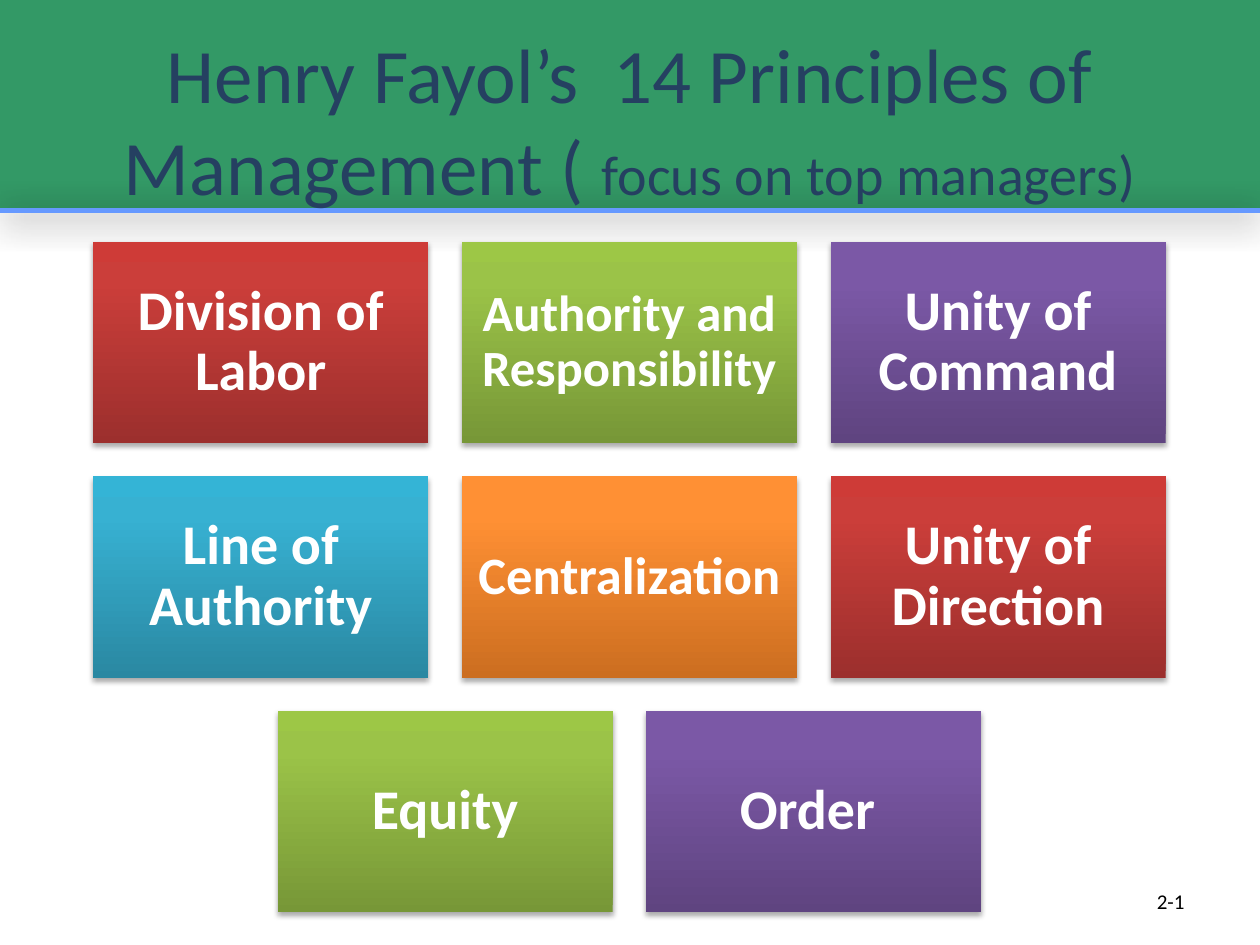
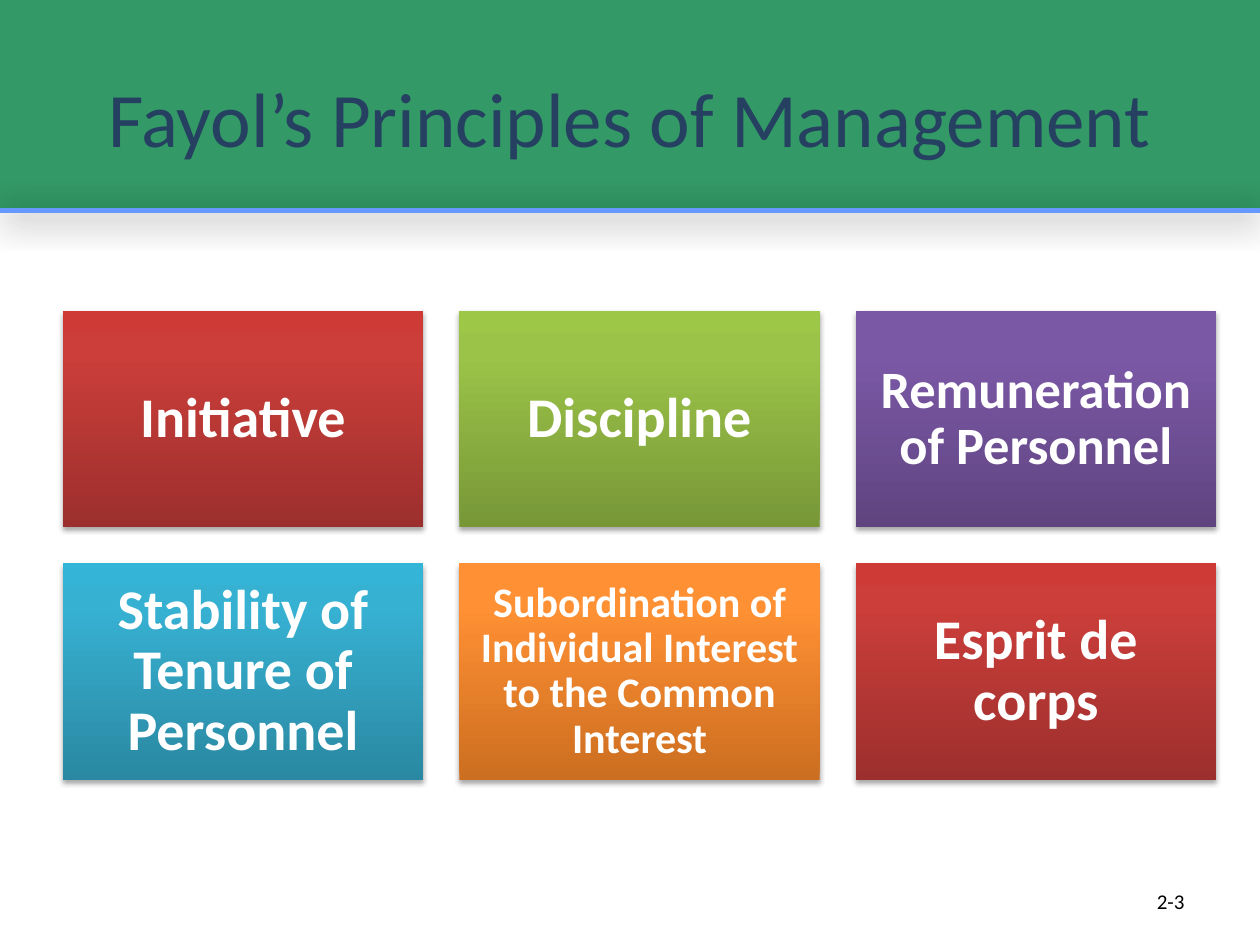
from lxml import etree
from pptx import Presentation
from pptx.dml.color import RGBColor
from pptx.enum.shapes import MSO_CONNECTOR, MSO_SHAPE
from pptx.enum.text import MSO_ANCHOR, MSO_AUTO_SIZE, PP_ALIGN
from pptx.oxml import parse_xml
from pptx.oxml.ns import nsdecls
from pptx.util import Inches, Pt

RECTANGLE = MSO_SHAPE.RECTANGLE
STRAIGHT = MSO_CONNECTOR.STRAIGHT
MIDDLE = MSO_ANCHOR.MIDDLE
NO_AUTOFIT = MSO_AUTO_SIZE.NONE
CENTER, RIGHT = PP_ALIGN.CENTER, PP_ALIGN.RIGHT

FONT = "Calibri"
TITLE_ONLY = 5
BAND_HEIGHT = 1.67
COLUMNS = 3
COLORS = {
    "band": "339966",
    "rule": "6699FF",
    "title": "254061",
    "number": "000000",
    "card_text": "FFFFFF",
    "shadow": "000000",
}
CARD_GRADIENTS = [
    ("9C2F2D", "CB3E3A", "CE3B37"),
    ("779737", "9BC348", "9DC746"),
    ("5F4480", "7B58A6", "7C57A8"),
    ("2A88A2", "37B1D2", "34B4D6"),
    ("CC6E20", "FF9034", "FF9136"),
]
GRADIENT_STOPS = (0, 80, 100)

FAYOL_PRINCIPLES = [
    ("Division of Labor", 32),
    ("Authority and Responsibility", 29),
    ("Unity of Command", 32),
    ("Line of Authority", 32),
    ("Centralization", 30),
    ("Unity of Direction", 32),
    ("Equity", 32),
    ("Order ", 32),
]
MORE_PRINCIPLES = [
    ("Initiative", 32),
    ("Discipline", 32),
    ("Remuneration of Personnel", 30),
    ("Stability of Tenure of Personnel", 32),
    ("Subordination of Individual Interest to the Common Interest", 24),
    ("Esprit de corps", 32),
]


def rgb(name):
    """Return the named palette colour."""
    return RGBColor.from_string(COLORS[name])


def format_run(run, size, color, bold=False):
    """Set the font of one run."""
    run.font.name = FONT
    run.font.size = Pt(size)
    run.font.bold = bold
    run.font.color.rgb = rgb(color)


def set_shadow(shape, opacity, blur, distance):
    """Give a shape or line a downward shadow, measured in points."""
    properties = shape._element.spPr
    properties.append(parse_xml(
        f'<a:effectLst {nsdecls("a")}>'
        f'<a:outerShdw blurRad="{Pt(blur)}" dist="{Pt(distance)}" dir="5400000" rotWithShape="0">'
        f'<a:srgbClr val="{COLORS["shadow"]}"><a:alpha val="{opacity * 1000}"/></a:srgbClr>'
        '</a:outerShdw></a:effectLst>'))


def set_gradient(shape, colors):
    """Fill a shape with a gradient that rises from bottom to top."""
    shape.fill.gradient()
    gradient = shape._element.spPr.find("a:gradFill", {"a": nsdecls("a").split('"')[1]})
    stops = "".join(
        f'<a:gs pos="{stop * 1000}"><a:srgbClr val="{color}"/></a:gs>'
        for stop, color in zip(GRADIENT_STOPS, colors))
    replacement = parse_xml(
        f'<a:gradFill {nsdecls("a")} rotWithShape="1"><a:gsLst>{stops}</a:gsLst>'
        '<a:lin ang="16200000" scaled="0"/></a:gradFill>')
    gradient.getparent().replace(gradient, replacement)


def add_band(slide, slide_width):
    """Put the green band and its blue rule behind the title."""
    band = slide.shapes.add_shape(RECTANGLE, 0, 0, slide_width, Inches(BAND_HEIGHT))
    band.shadow.inherit = False
    band.fill.solid()
    band.fill.fore_color.rgb = rgb("band")
    band.line.fill.background()
    rule = slide.shapes.add_connector(
        STRAIGHT, 0, Inches(BAND_HEIGHT), slide_width, Inches(BAND_HEIGHT))
    rule.line.color.rgb = rgb("rule")
    rule.line.width = Pt(2.5)
    set_shadow(rule, 84, 19, 3)
    for part in (band, rule):
        slide.shapes.title._element.addprevious(part._element)


def set_title(slide, parts, height):
    """Fill the title placeholder with (text, size) parts."""
    title = slide.shapes.title
    title.left, title.top = Inches(0.5), Inches(0.3)
    title.width, title.height = Inches(9), Inches(height)
    frame = title.text_frame
    frame.auto_size = NO_AUTOFIT
    frame.vertical_anchor = MIDDLE
    paragraph = frame.paragraphs[0]
    paragraph.alignment = CENTER
    for text, size in parts:
        run = paragraph.add_run()
        run.text = text
        format_run(run, size, "title")


def add_page_number(slide, number):
    """Write the page number at the lower right."""
    box = slide.shapes.add_textbox(Inches(7.17), Inches(6.95), Inches(2.33), Inches(0.4))
    frame = box.text_frame
    frame.word_wrap = True
    frame.vertical_anchor = MIDDLE
    frame.text = number
    frame.paragraphs[0].alignment = RIGHT
    format_run(frame.paragraphs[0].runs[0], 12, "number")


def add_card(slide, left, top, width, height, principle, size, colors):
    """Add one principle as a gradient card."""
    card = slide.shapes.add_shape(
        RECTANGLE, Inches(left), Inches(top), Inches(width), Inches(height))
    set_gradient(card, colors)
    card.line.fill.background()
    set_shadow(card, 35, 3.1, 1.8)
    frame = card.text_frame
    frame.word_wrap = True
    frame.vertical_anchor = MIDDLE
    inset = Inches(size * 0.004)
    frame.margin_left = frame.margin_right = inset
    frame.margin_top = frame.margin_bottom = inset
    frame.text = principle
    paragraph = frame.paragraphs[0]
    paragraph.alignment = CENTER
    paragraph.line_spacing = 0.9
    format_run(paragraph.runs[0], size, "card_text", bold=True)


def add_card_grid(slide, principles, left, top, width):
    """Lay principles out in rows of three, with a short last row centred."""
    height, gap = width * 0.6, width * 0.1
    for index, (principle, size) in enumerate(principles):
        row, column = divmod(index, COLUMNS)
        cards_in_row = min(COLUMNS, len(principles) - row * COLUMNS)
        column += (COLUMNS - cards_in_row) / 2
        add_card(slide, left + column * (width + gap), top + row * (height + gap),
                 width, height, principle, size,
                 CARD_GRADIENTS[index % len(CARD_GRADIENTS)])


def add_principles_slide(deck, title_parts, title_height, number, principles, left, top, width):
    """Add a slide with band, title, page number and card grid."""
    slide = deck.slides.add_slide(deck.slide_layouts[TITLE_ONLY])
    add_band(slide, deck.slide_width)
    set_title(slide, title_parts, title_height)
    add_page_number(slide, number)
    add_card_grid(slide, principles, left, top, width)


def main():
    """Build and save the deck."""
    deck = Presentation()
    deck.slide_width, deck.slide_height = Inches(10), Inches(7.5)
    add_principles_slide(
        deck,
        [("Henry Fayol’s  14 Principles of Management ( ", 44), ("focus on top managers)", 32)],
        1.28, "2-1", FAYOL_PRINCIPLES, left=0.74, top=1.92, width=2.66)
    add_principles_slide(
        deck, [("Fayol’s Principles of Management", 44)],
        1.25, "2-3", MORE_PRINCIPLES, left=0.5, top=2.47, width=2.86)
    deck.save("out.pptx")


if __name__ == "__main__":
    main()
